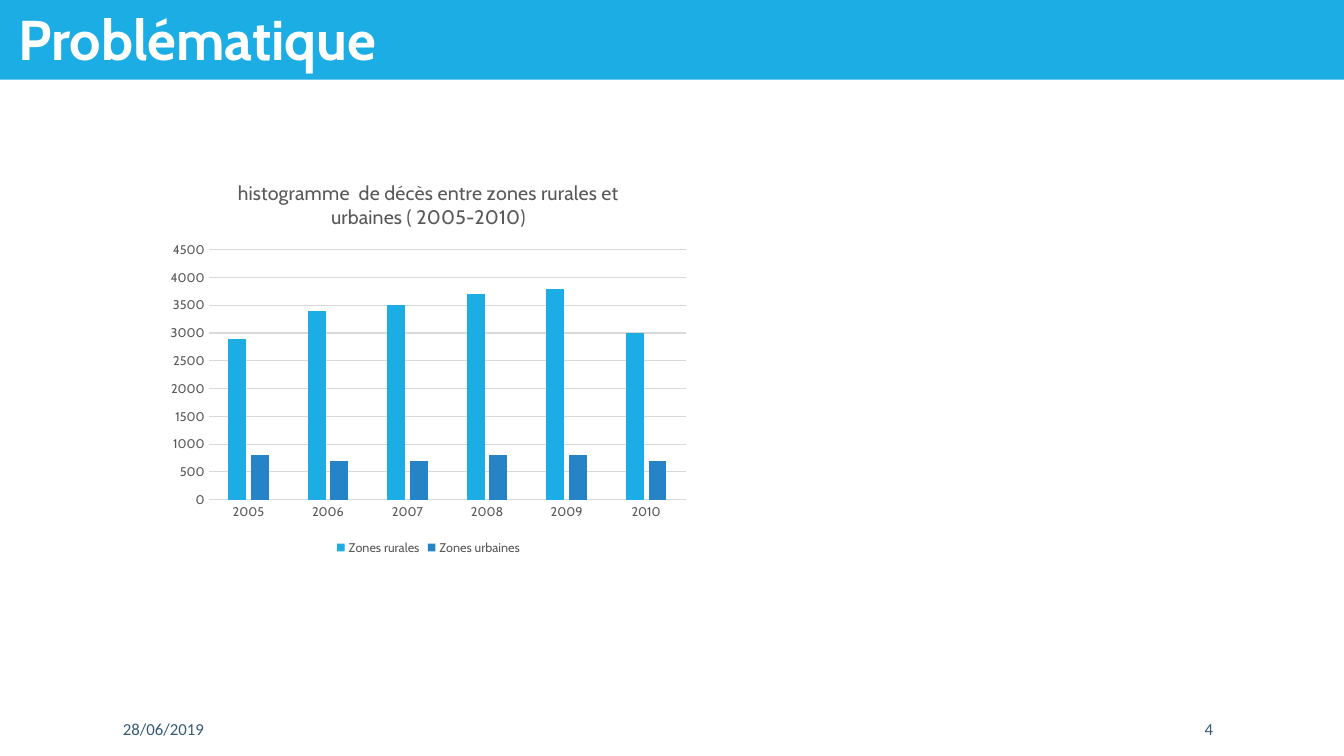
"""Build the slide comparing deaths in rural and urban areas."""
import pptx
import pptx.chart.data
import pptx.dml.color
import pptx.enum.chart
import pptx.enum.shapes
import pptx.enum.text
import pptx.oxml
import pptx.util

COLORS = {"band": "1CADE4", "urban": "2683C6", "white": "FFFFFF",
          "footer": "335B74", "label": "595959", "grid": "D9D9D9"}

presentation = pptx.Presentation()
presentation.slide_width = pptx.util.Inches(13.33)
presentation.slide_height = pptx.util.Inches(7.5)
slide = presentation.slides.add_slide(presentation.slide_layouts[6])
width, height = presentation.slide_width, presentation.slide_height


def set_font(font, name, size, color, bold=False):
    font.name = name
    font.size = pptx.util.Pt(size)
    font.bold = bold
    font.color.rgb = pptx.dml.color.RGBColor.from_string(COLORS[color])


def add_text(text, left, top, box_width, box_height, anchor):
    box = slide.shapes.add_textbox(*(pptx.util.Inches(value) for value in (left, top, box_width, box_height)))
    frame = box.text_frame
    frame.word_wrap = True
    frame.vertical_anchor = anchor
    frame.text = text
    return frame


band = slide.shapes.add_shape(
    pptx.enum.shapes.MSO_SHAPE.RECTANGLE, 0, 0, width, pptx.util.Inches(0.79))
band.shadow.inherit = False
band.fill.solid()
band.fill.fore_color.rgb = pptx.dml.color.RGBColor.from_string(COLORS["band"])
band.line.fill.background()

heading = add_text("Problématique", 0, 0, 7.08, 1.45, pptx.enum.text.MSO_ANCHOR.TOP)
heading.margin_left = pptx.util.Inches(0.18)
set_font(heading.paragraphs[0].font, "Cabin", 40, "white", True)

for text, left, box_width in (("28/06/2019", 1.12, 2.36), ("4", 11.85, 1.06)):
    footer = add_text(text, left, 7.08, box_width, 0.3, pptx.enum.text.MSO_ANCHOR.MIDDLE)
    set_font(footer.paragraphs[0].font, "Calibri", 12, "footer")

chart_data = pptx.chart.data.CategoryChartData()
chart_data.categories = [str(year) for year in range(2005, 2011)]
chart_data.add_series("Zones rurales", (2900, 3400, 3500, 3700, 3800, 3000))
chart_data.add_series("Zones urbaines", (800, 700, 700, 800, 800, 700))
chart = slide.shapes.add_chart(
    pptx.enum.chart.XL_CHART_TYPE.COLUMN_CLUSTERED,
    pptx.util.Inches(1.59), pptx.util.Inches(1.61),
    pptx.util.Inches(5.32), pptx.util.Inches(3.94), chart_data).chart
set_font(chart.font, "Cabin", 10, "label")

chart.has_title = True
chart.chart_title.include_in_layout = False
title_frame = chart.chart_title.text_frame
title_frame.text = "histogramme  de décès entre zones rurales et urbaines ( 2005-2010)"
set_font(title_frame.paragraphs[0].font, "Cabin", 14, "label")

chart.has_legend = True
chart.legend.position = pptx.enum.chart.XL_LEGEND_POSITION.BOTTOM
chart.legend.include_in_layout = False
set_font(chart.legend.font, "Cabin", 9, "label")

plot = chart.plots[0]
plot.gap_width = 219
plot.overlap = -27
plot.vary_by_categories = False
for series, color in zip(plot.series, ("band", "urban")):
    series.format.fill.solid()
    series.format.fill.fore_color.rgb = pptx.dml.color.RGBColor.from_string(COLORS[color])

for axis in (chart.category_axis, chart.value_axis):
    axis.major_tick_mark = pptx.enum.chart.XL_TICK_MARK.NONE
    axis.minor_tick_mark = pptx.enum.chart.XL_TICK_MARK.NONE
    set_font(axis.tick_labels.font, "Cabin", 9, "label")
chart.value_axis.minimum_scale = 0
chart.value_axis.maximum_scale = 4500
chart.value_axis.major_unit = 500
chart.value_axis.format.line.fill.background()
for line in (chart.category_axis.format.line, chart.value_axis.major_gridlines.format.line):
    line.color.rgb = pptx.dml.color.RGBColor.from_string(COLORS["grid"])
    line.width = pptx.util.Pt(0.75)

plot_area = chart.element.chart.plotArea
for layout in plot_area.findall(pptx.oxml.ns.qn("c:layout")):
    plot_area.remove(layout)
plot_area.insert(0, pptx.oxml.parse_xml(
    f'<c:layout {pptx.oxml.ns.nsdecls("c")}><c:manualLayout><c:layoutTarget val="inner"/>'
    '<c:xMode val="edge"/><c:yMode val="edge"/><c:x val="0.09"/><c:y val="0.22"/>'
    '<c:w val="0.89"/><c:h val="0.63"/></c:manualLayout></c:layout>'))

presentation.save("out.pptx")
